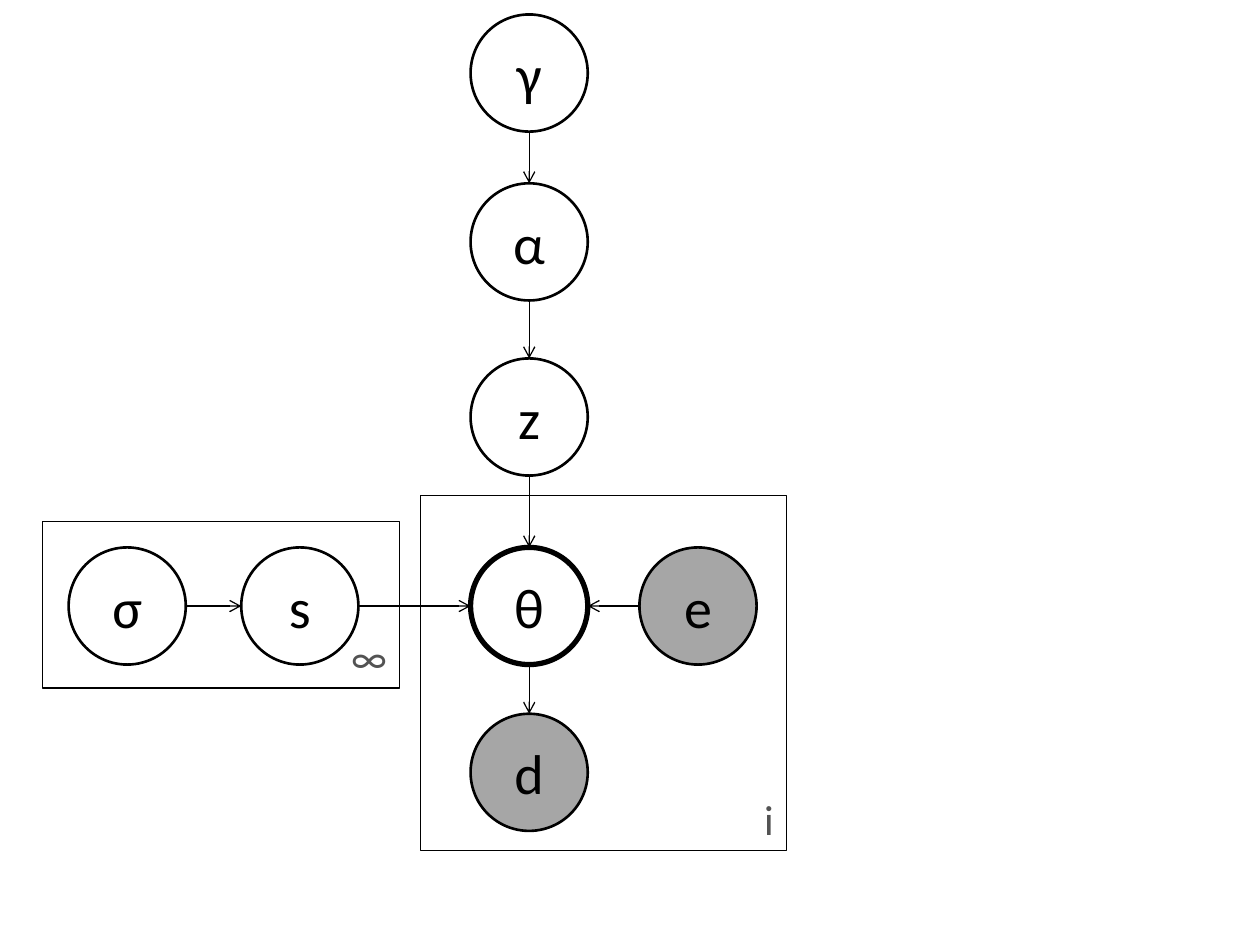
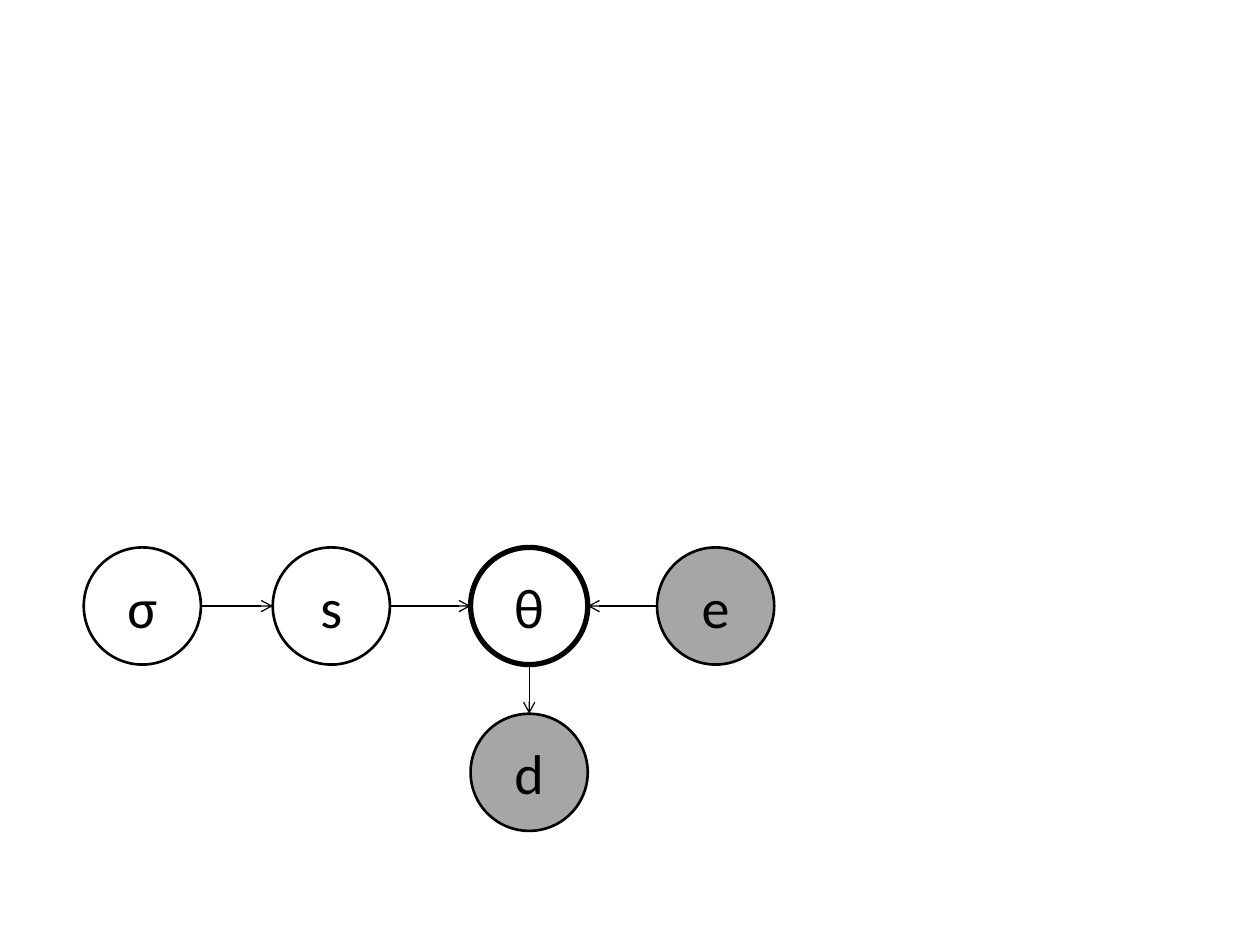
"""Draw two Bayesian networks: the full hierarchy and its core."""
from lxml.etree import SubElement
from pptx import Presentation
from pptx.dml.color import RGBColor as Rgb
from pptx.enum.shapes import MSO_CONNECTOR as Link, MSO_SHAPE as Kind
from pptx.enum.text import MSO_ANCHOR as Anchor, PP_ALIGN as Align
from pptx.oxml.ns import qn
from pptx.util import Inches, Pt

COLORS = {"ink": "000000", "seen": "A6A6A6", "plate": "535353"}
FONT = "Calibri"
SIZE = 0.93
MID_X, ROW_Y = 4.2, 4.81

CORE = {"θ": (MID_X, ROW_Y), "d": (MID_X, 6.13)}
FULL = CORE | {"σ": (1.01, ROW_Y), "s": (2.38, ROW_Y), "e": (5.54, ROW_Y),
               "z": (MID_X, 3.31), "α": (MID_X, 1.92), "γ": (MID_X, 0.58)}
SMALL = CORE | {"σ": (1.13, ROW_Y), "s": (2.63, ROW_Y), "e": (5.68, ROW_Y)}
CORE_EDGES = ["θd", "σs", "eθ", "sθ"]
FULL_EDGES = CORE_EDGES + ["zθ", "αz", "γα"]
PLATES = {"i": (3.34, 3.93, 2.9, 2.82), "∞": (0.34, 4.14, 2.83, 1.32)}


def color(name):
    return Rgb.from_string(COLORS[name])


def add_box(shapes, kind, box, width, fill=None):
    shape = shapes.add_shape(kind, *map(Inches, box))
    shape.shadow.inherit = False
    shape.line.color.rgb = color("ink")
    shape.line.width = Pt(width)
    if fill:
        shape.fill.solid()
        shape.fill.fore_color.rgb = color(fill)
    else:
        shape.fill.background()
    return shape


def set_text(shape, text, size, ink, align, anchor):
    frame = shape.text_frame
    frame.vertical_anchor = anchor
    par = frame.paragraphs[0]
    par.text = text
    par.alignment = align
    par.font.name = FONT
    par.font.size = Pt(size)
    par.font.color.rgb = color(ink)


def add_node(shapes, name, x, y):
    box = (x - SIZE / 2, y - SIZE / 2, SIZE, SIZE)
    width = 3 if name == "θ" else 1.5
    fill = "seen" if name in "de" else None
    node = add_box(shapes, Kind.OVAL, box, width, fill)
    set_text(node, name, 32, "ink", Align.CENTER, Anchor.MIDDLE)


def add_plate(shapes, name, box):
    plate = add_box(shapes, Kind.RECTANGLE, box, 0.75)
    set_text(plate, name, 24, "plate", Align.RIGHT, Anchor.BOTTOM)


def add_edge(shapes, start, end):
    (x1, y1), (x2, y2) = start, end
    gap = abs(x2 - x1) + abs(y2 - y1)
    dx, dy = (x2 - x1) / gap * SIZE / 2, (y2 - y1) / gap * SIZE / 2
    ends = (x1 + dx, y1 + dy, x2 - dx, y2 - dy)
    edge = shapes.add_connector(Link.STRAIGHT, *map(Inches, ends))
    edge.line.color.rgb = color("ink")
    edge.line.width = Pt(0.75)
    SubElement(edge.line._get_or_add_ln(), qn("a:tailEnd"), type="arrow")
    SubElement(edge._element.spPr, qn("a:effectLst"))


def add_graph(deck, nodes, edges, plates):
    slide = deck.slides.add_slide(deck.slide_layouts[6])
    shapes = slide.shapes.add_group_shape().shapes
    for name, box in plates.items():
        add_plate(shapes, name, box)
    for name, (x, y) in nodes.items():
        add_node(shapes, name, x, y)
    for start, end in edges:
        add_edge(shapes, nodes[start], nodes[end])


def main():
    deck = Presentation()
    deck.slide_width, deck.slide_height = Inches(10), Inches(7.5)
    add_graph(deck, FULL, FULL_EDGES, PLATES)
    add_graph(deck, SMALL, CORE_EDGES, {})
    deck.save("out.pptx")


main()
